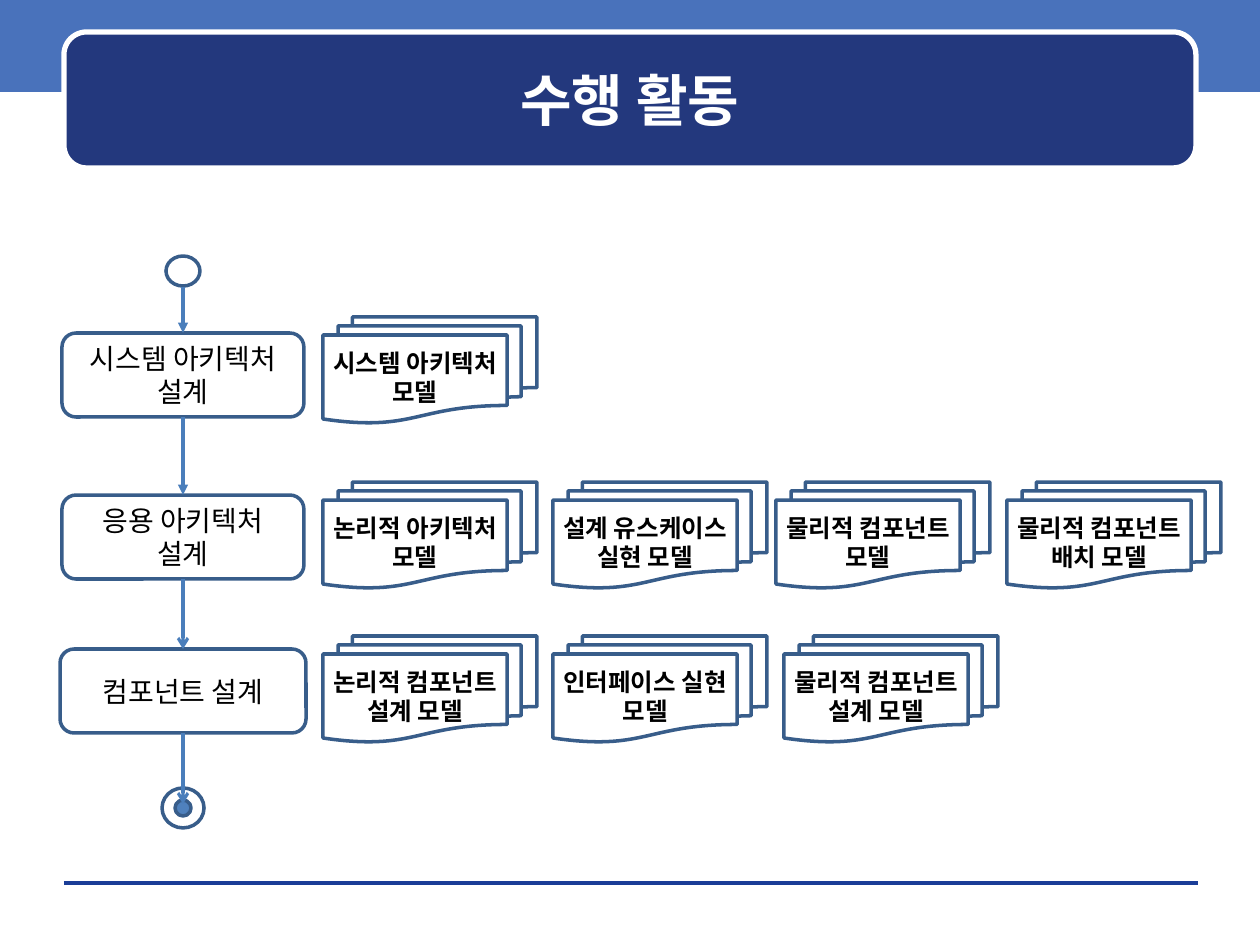
from dataclasses import dataclass
from typing import Optional

from pptx import Presentation
from pptx.dml.color import RGBColor
from pptx.enum.shapes import MSO_CONNECTOR as Line, MSO_SHAPE as Preset
from pptx.enum.text import MSO_ANCHOR as Anchor, MSO_AUTO_SIZE as AutoSize, PP_ALIGN as Align
from pptx.oxml.ns import qn
from pptx.oxml.xmlchemy import OxmlElement
from pptx.util import Pt

SCALE = 914400 / 126
FONT = "Noto Sans CJK KR"
WHITE = RGBColor(0xFF, 0xFF, 0xFF)
BLACK = RGBColor(0x00, 0x00, 0x00)
BAND_BLUE = RGBColor(0x49, 0x72, 0xBB)
TITLE_NAVY = RGBColor(0x23, 0x38, 0x7D)
RULE_BLUE = RGBColor(0x1A, 0x3D, 0x97)
OUTLINE = RGBColor(0x38, 0x5D, 0x8A)
ARROW_BLUE = RGBColor(0x4A, 0x7E, 0xBB)
DOT_BLUE = RGBColor(0x4F, 0x81, 0xBD)

CENTER = 183
STEP_HEIGHT = 84
MODEL_WIDTH, MODEL_HEIGHT = 214, 106


@dataclass(frozen=True)
class Model:
    left: int
    label: str


@dataclass(frozen=True)
class Step:
    label: str
    top: int
    width: int
    models_top: int
    models: tuple[Model, ...]


STEPS = (
    Step("시스템 아키텍처 설계", 333, 242, 317, (
        Model(323, "시스템 아키텍처\n모델"),
    )),
    Step("응용 아키텍처 설계", 495, 242, 482, (
        Model(323, "논리적 아키텍처\n모델"),
        Model(553, "설계 유스케이스\n실현 모델"),
        Model(776, "물리적 컴포넌트\n모델"),
        Model(1007, "물리적 컴포넌트\n배치 모델"),
    )),
    Step("컴포넌트 설계", 649, 246, 636, (
        Model(323, "논리적 컴포넌트\n설계 모델"),
        Model(553, "인터페이스 실현\n모델"),
        Model(784, "물리적 컴포넌트\n설계 모델"),
    )),
)


def px(length: int) -> int:
    return round(length * SCALE)


def add_box(shapes, preset, left: int, top: int, width: int, height: int,
            fill: Optional[RGBColor] = None, outline: Optional[RGBColor] = OUTLINE,
            weight: float = 2):
    box = shapes.add_shape(preset, px(left), px(top), px(width), px(height))
    box.shadow.inherit = False
    if fill is None:
        box.fill.background()
    else:
        box.fill.solid()
        box.fill.fore_color.rgb = fill
    if outline is None:
        box.line.fill.background()
    else:
        box.line.color.rgb = outline
        box.line.width = Pt(weight)
    return box


def write(shape, text: str, size: int, color: RGBColor = BLACK, bold: bool = False) -> None:
    frame = shape.text_frame
    frame.text = text
    frame.word_wrap = True
    frame.auto_size = AutoSize.NONE
    frame.vertical_anchor = Anchor.MIDDLE
    for paragraph in frame.paragraphs:
        paragraph.alignment = Align.CENTER
        for run in paragraph.runs:
            run.font.size = Pt(size)
            run.font.bold = bold
            run.font.color.rgb = color
            run.font.name = FONT
            east_asian = OxmlElement("a:ea")
            east_asian.set("typeface", FONT)
            run.font._element.find(qn("a:latin")).addnext(east_asian)


def add_line(shapes, start: tuple[int, int], end: tuple[int, int], color: RGBColor,
             weight: float, head: Optional[str] = None):
    line = shapes.add_connector(Line.STRAIGHT, *map(px, start + end))
    line.line.color.rgb = color
    line.line.width = Pt(weight)
    properties = line.element.spPr
    if head:
        tail = OxmlElement("a:tailEnd")
        tail.set("type", head)
        properties.find(qn("a:ln")).append(tail)
    properties.append(OxmlElement("a:effectLst"))
    return line


def add_flow_arrow(shapes, top: int, bottom: int, head: str, source=None, target=None) -> None:
    arrow = add_line(shapes, (CENTER, top), (CENTER, bottom), ARROW_BLUE, 1.75, head)
    if source is not None:
        arrow.begin_connect(source, 2)
    if target is not None:
        arrow.end_connect(target, 0)


def add_node(shapes, middle: int, width: int, height: int,
             fill: Optional[RGBColor] = None) -> None:
    add_box(shapes, Preset.FLOWCHART_CONNECTOR, CENTER - width // 2, middle - height // 2,
            width, height, fill)


def add_step(shapes, step: Step):
    box = add_box(shapes, Preset.FLOWCHART_ALTERNATE_PROCESS, CENTER - step.width // 2,
                  step.top, step.width, STEP_HEIGHT)
    write(box, step.label, 16)
    return box


def add_model(shapes, model: Model, top: int) -> None:
    document = add_box(shapes, Preset.FLOWCHART_MULTIDOCUMENT, model.left, top,
                       MODEL_WIDTH, MODEL_HEIGHT)
    document.text_frame.margin_left = document.text_frame.margin_right = 0
    write(document, model.label, 14, bold=True)


def add_header(slide) -> None:
    shapes = slide.shapes
    add_box(shapes, Preset.RECTANGLE, 0, -4, 1260, 96, BAND_BLUE, None)
    add_line(shapes, (64, 883), (1198, 883), RULE_BLUE, 0)
    add_box(shapes, Preset.ROUNDED_RECTANGLE, 64, 32, 1132, 136, TITLE_NAVY, WHITE, 3)
    title = shapes.title
    title.left, title.top, title.width, title.height = map(px, (75, 44, 1110, 111))
    write(title, "수행 활동", 32, WHITE, True)
    shapes.element.append(title.element)


def add_flow(shapes) -> None:
    add_node(shapes, 271, 34, 30)
    boxes = [add_step(shapes, step) for step in STEPS]
    first, second, third = boxes
    add_flow_arrow(shapes, 287, STEPS[0].top, "triangle", target=first)
    add_flow_arrow(shapes, STEPS[0].top + STEP_HEIGHT, STEPS[1].top, "triangle", first, second)
    add_flow_arrow(shapes, STEPS[1].top + STEP_HEIGHT, STEPS[2].top, "arrow", second, third)
    add_node(shapes, 808, 16, 16, DOT_BLUE)
    add_node(shapes, 808, 42, 40)
    add_flow_arrow(shapes, STEPS[2].top + STEP_HEIGHT, 804, "arrow", third)
    for step in STEPS:
        for model in step.models:
            add_model(shapes, model, step.models_top)


def main() -> None:
    deck = Presentation()
    deck.slide_width, deck.slide_height = px(1260), px(945)
    slide = deck.slides.add_slide(deck.slide_layouts[5])
    add_header(slide)
    add_flow(slide.shapes)
    deck.save("out.pptx")


if __name__ == "__main__":
    main()
